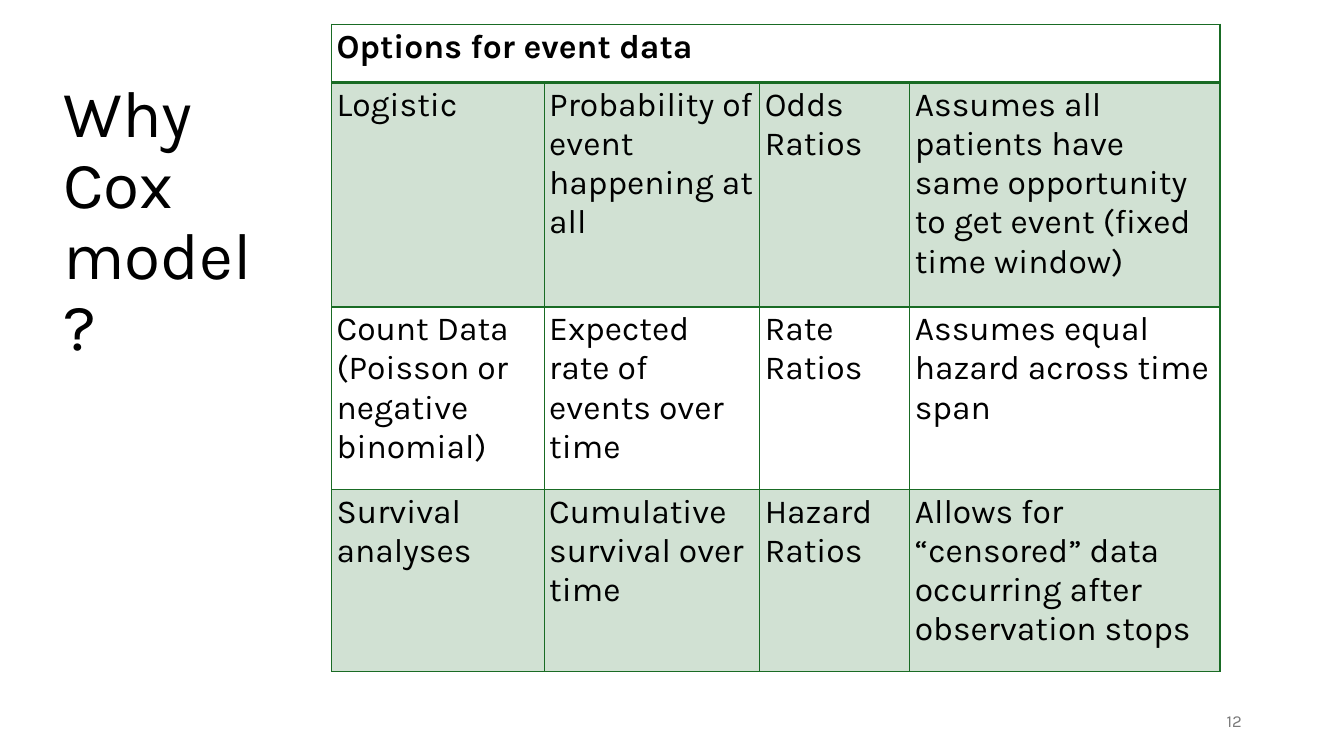
import pptx
import pptx.dml.color
import pptx.enum.text
import pptx.oxml
import pptx.oxml.ns
import pptx.util
from lxml import etree

Pt = pptx.util.Pt
Anchor = pptx.enum.text.MSO_ANCHOR
Align = pptx.enum.text.PP_ALIGN


def color(value):
    return pptx.dml.color.RGBColor.from_string(value)


class SlideBuilder:
    font = "Karla"
    ink = "000000"
    muted = "797979"
    green = "196B24"
    tint = 20

    def __init__(self, page):
        self.page = page

    def style(self, para, size, ink, bold=False):
        para.font.name = self.font
        para.font.size = Pt(size)
        para.font.bold = bold
        para.font.color.rgb = color(ink)

    def text(self, words, left, top, width, height, size, ink,
             anchor=Anchor.TOP, align=Align.LEFT, spacing=1.0):
        box = self.page.shapes.add_textbox(Pt(left), Pt(top), Pt(width), Pt(height))
        frame = box.text_frame
        frame.word_wrap = True
        frame.vertical_anchor = anchor
        para = frame.paragraphs[0]
        para.text = words
        para.alignment = align
        para.line_spacing = spacing
        self.style(para, size, ink)

    def border(self, cell, side, width):
        properties = cell._tc.get_or_add_tcPr()
        line = etree.SubElement(
            properties, pptx.oxml.ns.qn(f"a:ln{side}"), w=str(Pt(width)))
        fill = etree.SubElement(line, pptx.oxml.ns.qn("a:solidFill"))
        etree.SubElement(fill, pptx.oxml.ns.qn("a:srgbClr"), val=self.green)

    def shade(self, cell):
        cell.fill.solid()
        cell.fill.fore_color.rgb = color(self.green)
        fill = cell._tc.tcPr.find(pptx.oxml.ns.qn("a:solidFill"))
        swatch = fill.find(pptx.oxml.ns.qn("a:srgbClr"))
        etree.SubElement(swatch, pptx.oxml.ns.qn("a:alpha"), val=str(self.tint * 1000))

    def cell(self, cell, words, row):
        cell.margin_left = cell.margin_right = Pt(3.6)
        cell.margin_top = cell.margin_bottom = Pt(2.2)
        for side in "LRTB":
            thick = (row, side) in ((0, "B"), (1, "T"))
            self.border(cell, side, 2 if thick else 1)
        if row % 2:
            self.shade(cell)
        else:
            cell.fill.background()
        para = cell.text_frame.paragraphs[0]
        para.text = words
        self.style(para, 24, self.ink, bold=row == 0)

    def table(self, heading, rows, left, top, widths, heights):
        frame = self.page.shapes.add_table(
            len(heights), len(widths), Pt(left), Pt(top),
            Pt(sum(widths)), Pt(sum(heights)))
        table = frame.table
        table.first_row = False
        table.horz_banding = False
        for column, width in zip(table.columns, widths):
            column.width = Pt(width)
        for line, height in zip(table.rows, heights):
            line.height = Pt(height)
        table.cell(0, 0).merge(table.cell(0, len(widths) - 1))
        header = [heading] + [""] * (len(widths) - 1)
        for row, entries in enumerate([header, *rows]):
            for column, words in enumerate(entries):
                self.cell(table.cell(row, column), words, row)


MODELS = [
    ("Logistic", "Probability of event happening at all", "Odds Ratios",
     "Assumes all patients have same opportunity to get event (fixed time window)"),
    ("Count Data (Poisson or negative binomial)", "Expected rate of events over time",
     "Rate Ratios", "Assumes equal hazard across time span"),
    ("Survival analyses", "Cumulative survival over time", "Hazard Ratios",
     "Allows for “censored” data occurring after observation stops"),
]


def main():
    deck = pptx.Presentation()
    deck.slide_width = Pt(960)
    deck.slide_height = Pt(540)
    builder = SlideBuilder(deck.slides.add_slide(deck.slide_layouts[6]))
    builder.text("Why Cox model?", 38.2, 54, 160.6, 188, 47, builder.ink, spacing=0.9)
    builder.table("Options for event data", MODELS, 236.9, 17.3,
                  (151.8, 154, 107.2, 221.6), (41.7, 160.3, 130.3, 130.3))
    builder.text("12", 678.2, 500.4, 216, 28.8, 12, builder.muted,
                 anchor=Anchor.MIDDLE, align=Align.RIGHT)
    deck.save("out.pptx")


if __name__ == "__main__":
    main()
